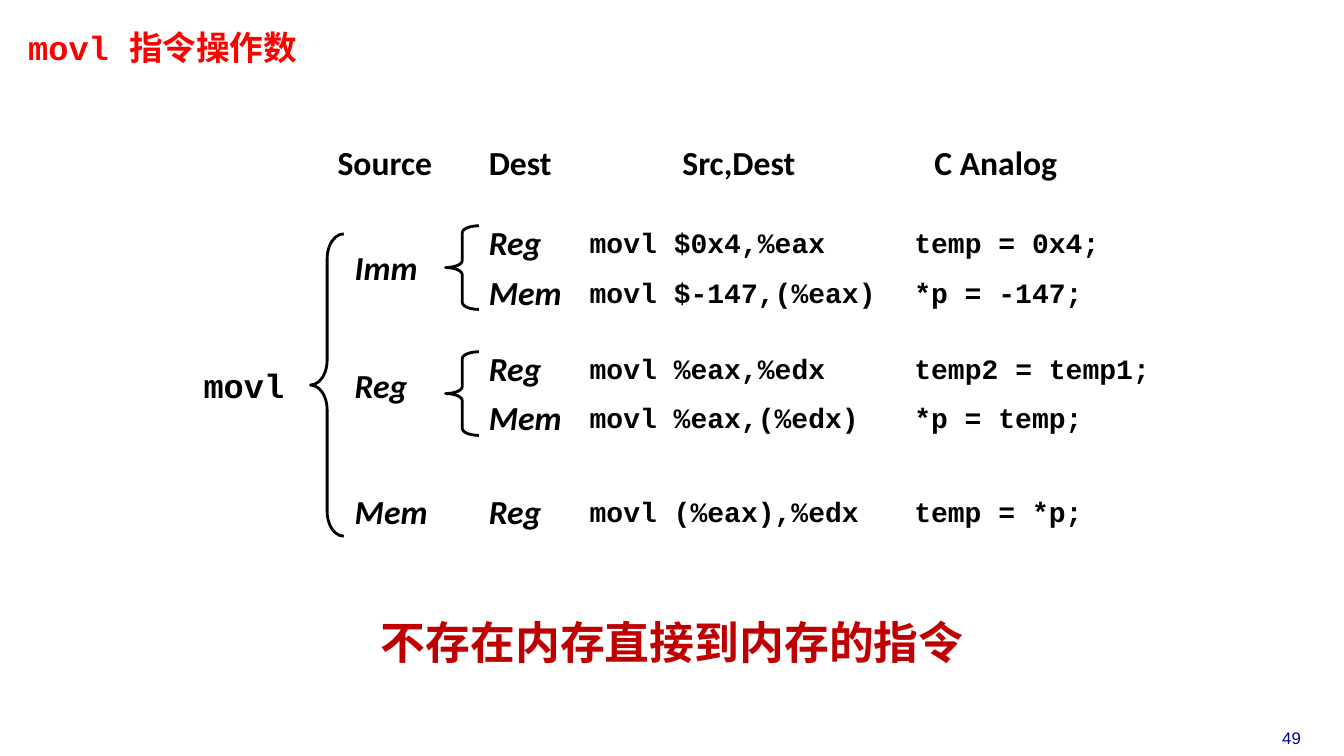
from pptx import Presentation
from pptx.dml.color import RGBColor
from pptx.enum.shapes import MSO_SHAPE
from pptx.enum.text import MSO_ANCHOR, MSO_AUTO_SIZE, PP_ALIGN
from pptx.oxml.ns import qn
from pptx.util import Inches, Pt

LEFT_BRACE = MSO_SHAPE.LEFT_BRACE
MIDDLE = MSO_ANCHOR.MIDDLE
NO_FIT = MSO_AUTO_SIZE.NONE
LEFT, CENTER = PP_ALIGN.LEFT, PP_ALIGN.CENTER
CJK_FONT = "Noto Sans CJK SC"
CODE_FONT = "Courier New"
WORD_FONT = "Calibri"


def style(span, size, font, color="000000", bold=True, italic=False):
    span.font.size = Pt(size)
    span.font.name = font
    span.font.bold = bold
    span.font.italic = italic
    span.font.color.rgb = RGBColor.from_string(color)
    east_asian = span.font._element.makeelement(qn("a:ea"), {"typeface": CJK_FONT})
    span.font._element.find(qn("a:latin")).addnext(east_asian)


def add_label(text, left, top, width, height, size, font, color="000000",
              bold=True, italic=False, wrap=False, align=LEFT):
    box = slide.shapes.add_textbox(Inches(left), Inches(top), Inches(width), Inches(height))
    frame = box.text_frame
    frame.word_wrap = wrap
    frame.vertical_anchor = MIDDLE
    frame.text = text
    para = frame.paragraphs[0]
    para.alignment = align
    style(para.runs[0], size, font, color, bold, italic)
    return box


deck = Presentation()
deck.slide_width = Inches(13.33)
deck.slide_height = Inches(7.5)
slide = deck.slides.add_slide(deck.slide_layouts[5])

title = slide.shapes.title
title.left, title.top = Inches(0.21), Inches(0.29)
title.width, title.height = Inches(7.84), Inches(0.41)
frame = title.text_frame
frame.margin_left = frame.margin_right = Inches(0.07)
frame.margin_top = frame.margin_bottom = Inches(0.03)
frame.auto_size = NO_FIT
frame.vertical_anchor = MIDDLE
para = frame.paragraphs[0]
para.alignment = LEFT
para.line_spacing = 0.87
for text, font in [("movl ", CODE_FONT), ("指令操作数", "DejaVu Sans Mono")]:
    span = para.add_run()
    span.text = text
    style(span, 24, font, "FF0000")

headings = [("Source", 3.25, 1.15), ("Dest", 4.75, 0.83),
            ("Src,Dest", 6.67, 1.33), ("C Analog", 9.17, 1.43)]
for text, left, width in headings:
    add_label(text, left, 1.36, width, 0.5, 24, WORD_FONT)

add_label("movl", 1.92, 3.57, 1.01, 0.5, 24, CODE_FONT)

operand_widths = {"Imm": 0.83, "Reg": 0.73, "Mem": 0.93}
sources = [("Imm", 2.4), ("Reg", 3.57), ("Mem", 4.82)]
instructions = [
    ("Reg", 2.15, "movl $0x4,%eax", "temp = 0x4;"),
    ("Mem", 2.65, "movl $-147,(%eax)", "*p = -147;"),
    ("Reg", 3.4, "movl %eax,%edx", "temp2 = temp1;"),
    ("Mem", 3.89, "movl %eax,(%edx)", "*p = temp;"),
    ("Reg", 4.82, "movl (%eax),%edx", "temp = *p;"),
]
operands = [(name, 3.42, top) for name, top in sources]
operands += [(name, 4.75, top) for name, top, assembly, analog in instructions]
for name, left, top in operands:
    add_label(name, left, top, operand_widths[name], 0.5, 24, WORD_FONT, italic=True)

for name, top, assembly, analog in instructions:
    for code, left in [(assembly, 5.75), (analog, 8.97)]:
        add_label(code, left, top + 0.03, 0.22 + len(code) / 6, 0.44, 20, CODE_FONT)

braces = [(3.08, 2.32, 3, 0.75), (4.42, 2.24, 0.83, 0.21), (4.42, 3.49, 0.83, 0.21)]
for left, top, height, curve in braces:
    brace = slide.shapes.add_shape(LEFT_BRACE, Inches(left), Inches(top),
                                   Inches(0.33), Inches(height))
    brace.shadow.inherit = False
    brace.fill.background()
    brace.line.color.rgb = RGBColor.from_string("000000")
    brace.line.width = Pt(2)
    brace.adjustments[0] = curve
    brace.adjustments[1] = 0.5

conclusion = add_label("不存在内存直接到内存的指令", 2.22, 5.96, 8.9, 0.67, 32, CJK_FONT,
                       "C00000", wrap=True, align=CENTER)
frame = conclusion.text_frame
frame.margin_left = frame.margin_right = frame.margin_top = frame.margin_bottom = 0
frame.paragraphs[0].line_spacing = 1.25

add_label("49", 12.34, 7.17, 0.94, 0.3, 12, "Arial", "000099",
          bold=False, wrap=True, align=CENTER)

deck.save("out.pptx")
